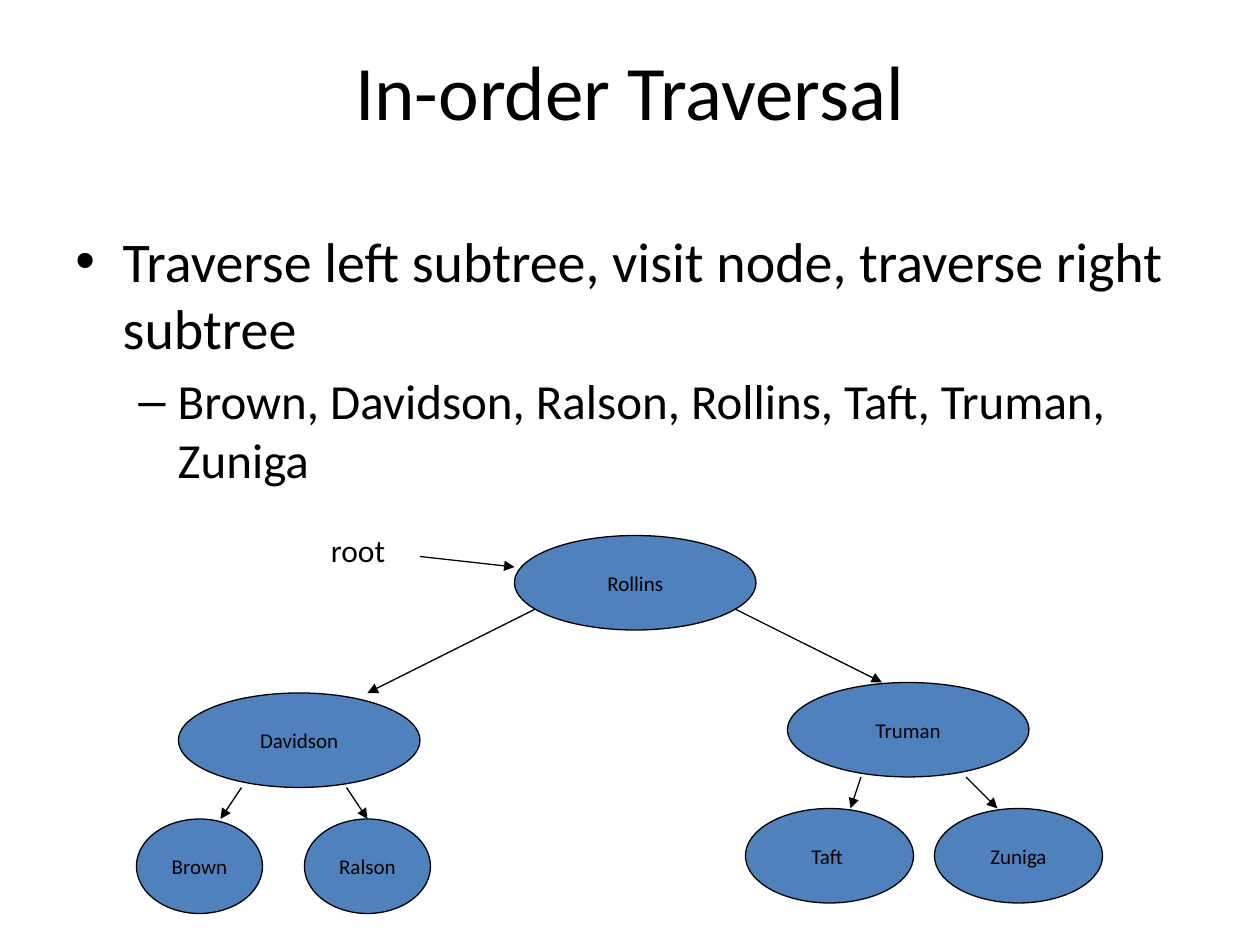
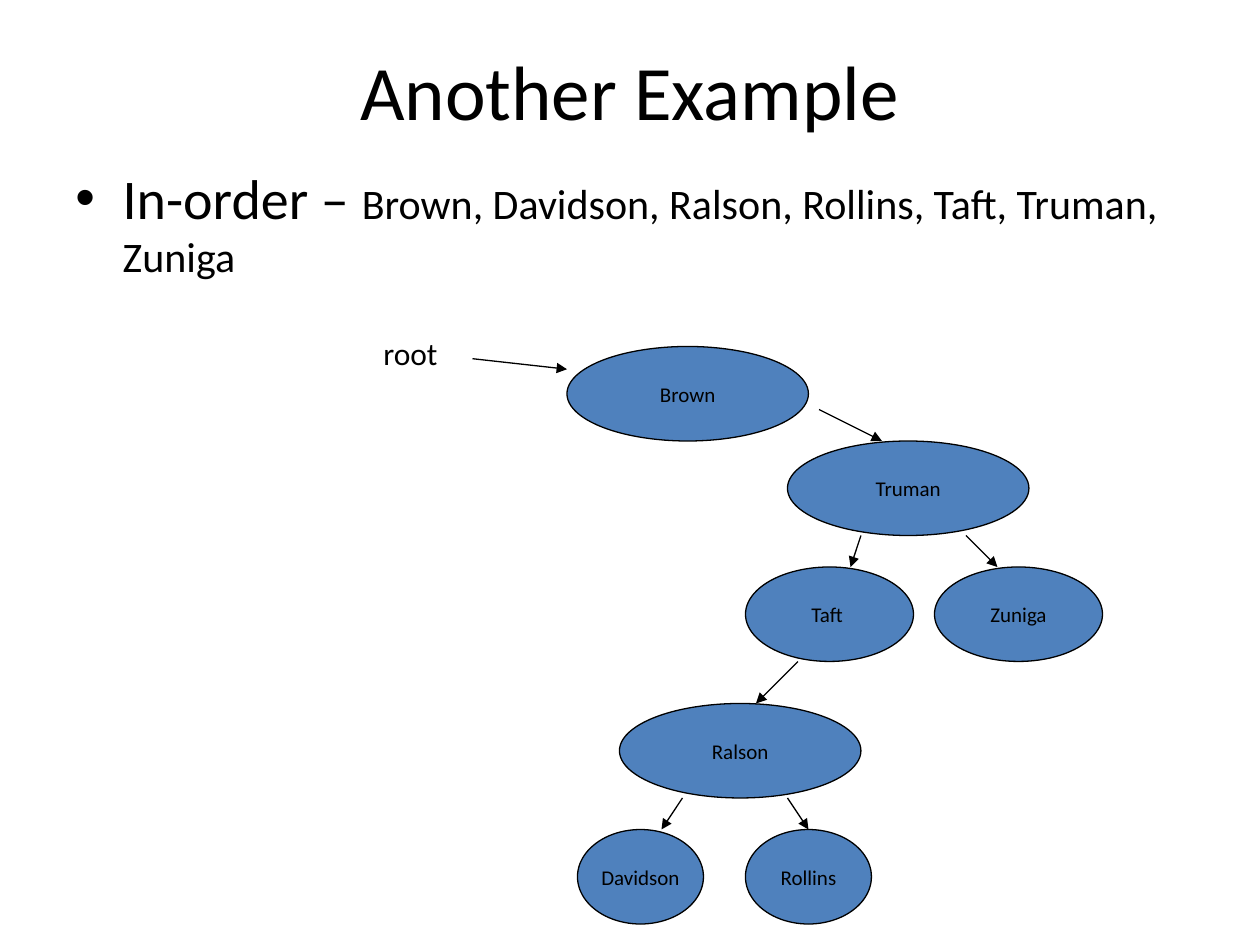
from pptx import Presentation as Deck
from pptx.util import Pt
from pptx.dml.color import RGBColor as RGB
from pptx.enum.shapes import MSO_SHAPE as Shape, MSO_CONNECTOR as Link
from pptx.enum.text import PP_ALIGN as Align, MSO_ANCHOR as Anchor, MSO_AUTO_SIZE as Fit
from pptx.oxml.ns import qn
from lxml.etree import SubElement as Sub

COLORS = {"ink": "000000", "node": "4F81BD", "page": "FFFFFF"}
FONT = "Calibri"
LINE = Pt(0.75)
TALL = 54      # height of every node
BROAD = 138    # width of a parent node
STEP = 72      # drop from a parent to its children

BULLETS = [dict(char="•", left=27, hang=-27), dict(char="–", left=58.5, hang=-22.5)]

# Child nodes as (left, width), arrows as (start, tip), all from the parent's left edge
NARROW = [(-24, 72, 36, 24), (72, 72, 96, 108)]
WIDE = [(-24, 96, 42, 36), (84, 96, 102, 120)]

NAMES = "Brown, Davidson, Ralson, Rollins, Taft, Truman, Zuniga"


def color(name):
    return RGB.from_string(COLORS[name])


def apply(thing, **values):
    for name, value in values.items():
        setattr(thing, name, value)


def write(para, text, size):
    run = para.add_run()
    run.text = text
    apply(run.font, size=Pt(size), name=FONT)
    run.font.color.rgb = color("ink")


def add_text(slide, box, **frame):
    text = slide.shapes.add_textbox(*map(Pt, box)).text_frame
    apply(text, **{"word_wrap": True, **frame})
    return text


def add_title(slide, box, words):
    para = add_text(slide, box).paragraphs[0]
    para.alignment = Align.CENTER
    write(para, words, 44)


def add_body(slide, box, paras):
    """Each item is a level and its (text, size) runs."""
    text = add_text(slide, box)
    for count, (level, runs) in enumerate(paras):
        para = text.add_paragraph() if count else text.paragraphs[0]
        mark = BULLETS[level]
        props = para._p.get_or_add_pPr()
        props.set("marL", str(Pt(mark["left"])))
        props.set("indent", str(Pt(mark["hang"])))
        Sub(props, qn("a:buFont"), typeface="Arial")
        Sub(props, qn("a:buChar"), char=mark["char"])
        para.level = level
        if count:
            para.space_before = Pt(runs[0][1] * 0.2)
        for words, size in runs:
            write(para, words, size)


def add_node(slide, x, y, name, width=BROAD):
    node = slide.shapes.add_shape(Shape.OVAL, *map(Pt, (x, y, width, TALL)))
    node.shadow.inherit = False
    node.fill.solid()
    node.fill.fore_color.rgb = color("node")
    node.line.color.rgb = color("ink")
    node.line.width = LINE
    apply(node.text_frame, word_wrap=False, vertical_anchor=Anchor.MIDDLE)
    para = node.text_frame.paragraphs[0]
    para.alignment = Align.CENTER
    write(para, name, 12)
    return node


def add_arrow(slide, *ends):
    arrow = slide.shapes.add_connector(Link.STRAIGHT, *map(Pt, ends))
    arrow.line.color.rgb = color("ink")
    arrow.line.width = LINE
    Sub(arrow.line._get_or_add_ln(), qn("a:tailEnd"), type="triangle")
    Sub(arrow._element.spPr, qn("a:effectLst"))
    return arrow


def add_root(slide, x, y, name, label, tip):
    """Top node; label and tip are heights from its top edge."""
    add_node(slide, x, y, name)
    text = add_text(slide, (x - 112, y + label, 47, 29),
                    word_wrap=False, auto_size=Fit.SHAPE_TO_FIT_TEXT)
    write(text.paragraphs[0], "root", 18)
    add_arrow(slide, x - 54, y + tip - 6, x, y + tip)


def add_branch(slide, x, y, name, kids, plan):
    """Parent node with two children below it."""
    add_node(slide, x, y, name)
    for kid, (left, width, start, tip) in zip(kids, plan):
        node = add_node(slide, x + left, y + STEP, kid, width)
        arrow = add_arrow(slide, x + start, y + TALL, x + tip, y + STEP)
        if tip == left + width / 2:
            arrow.end_connect(node, 0)


def add_page(deck, title, top, paras):
    slide = deck.slides.add_slide(deck.slide_layouts[6])
    slide.background.fill.solid()
    slide.background.fill.fore_color.rgb = color("page")
    add_title(slide, (36, 21.6, 648, 90), title)
    add_body(slide, (36, top, 648, 356.4), paras)
    return slide


def add_order(deck):
    slide = add_page(deck, "In-order Traversal", 126, [
        (0, [("Traverse left subtree, visit node, traverse right subtree", 32)]),
        (1, [(NAMES, 28)]),
    ])
    add_root(slide, 294, 306, "Rollins", label=-6, tip=18)
    add_branch(slide, 102, 396, "Davidson", ("Brown", "Ralson"), NARROW)
    add_branch(slide, 450, 390, "Truman", ("Taft ", "Zuniga"), WIDE)
    # Links from the root
    add_arrow(slide, 306, 348, 210, 396)
    add_arrow(slide, 420, 348, 504, 390)


def add_sample(deck):
    slide = add_page(deck, "Another Example", 90, [
        (0, [("In-order – ", 32), (NAMES, 24)]),
    ])
    add_root(slide, 324, 198, "Brown", label=-10.8, tip=13)
    add_branch(slide, 450, 252, "Truman", ("Taft ", "Zuniga"), WIDE)
    add_branch(slide, 354, 402, "Ralson", ("Davidson", "Rollins"), NARROW)
    # Links between the levels
    add_arrow(slide, 468, 234, 504, 252)
    add_arrow(slide, 456, 378, 432, 402)


def main():
    deck = Deck()
    apply(deck, slide_width=Pt(720), slide_height=Pt(540))
    add_order(deck)
    add_sample(deck)
    deck.save("out.pptx")


if __name__ == "__main__":
    main()
